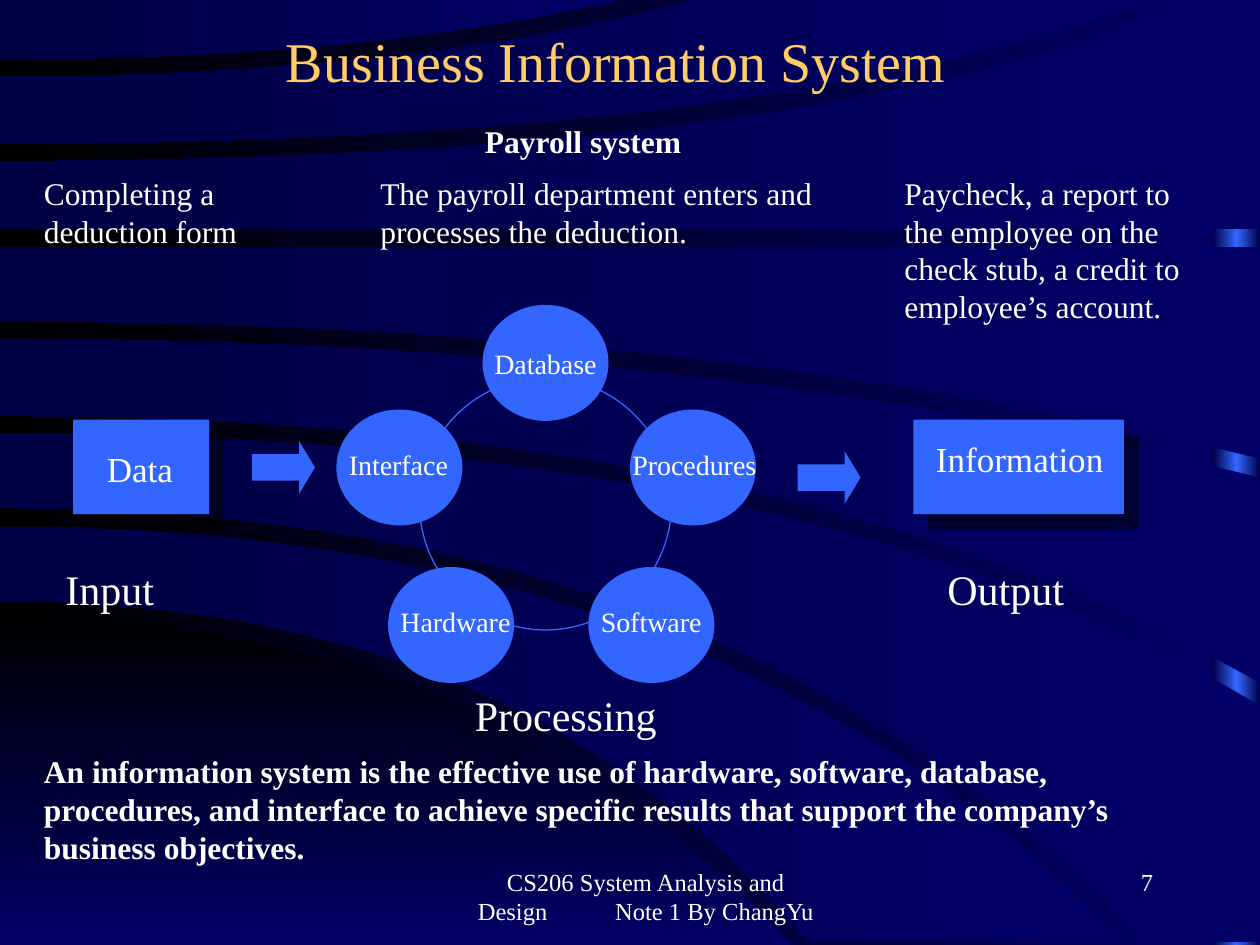
from copy import deepcopy
from dataclasses import dataclass

from pptx import Presentation
from pptx.dml.color import RGBColor
from pptx.dml.fill import FillFormat
from pptx.enum.shapes import MSO_SHAPE
from pptx.enum.text import MSO_ANCHOR, PP_ALIGN
from pptx.oxml import parse_xml
from pptx.oxml.ns import nsdecls, qn
from pptx.oxml.xmlchemy import BaseOxmlElement
from pptx.shapes.autoshape import Shape
from pptx.slide import Slide
from pptx.text.text import TextFrame
from pptx.util import Inches, Pt

COLORS = {
    "navy": "000066", "midnight": "000044", "black": "000000",
    "blue": "3366FF", "gold": "FFCC66", "white": "FFFFFF",
}
FONT = "Times New Roman"
SLIDE_WIDTH = 10
CURVE_STEPS = 20
Point = tuple[float, float]


@dataclass
class Edge:
    start_y: float
    control_x: float
    end_x: float
    end_y: float

    def points(self) -> list[Point]:
        """Sample a quadratic curve that leaves the left side horizontally."""
        ratios = [step / CURVE_STEPS for step in range(CURVE_STEPS + 1)]
        return [(2 * t * (1 - t) * self.control_x + t * t * self.end_x,
                 self.start_y + t * t * (self.end_y - self.start_y)) for t in ratios]


@dataclass
class Band:
    upper: Edge
    lower: Edge
    colors: tuple[str, ...] = ("navy", "midnight")
    angle: int = 180


@dataclass
class Label:
    text: str
    left: float
    top: float
    width: float
    height: float
    size: int = 18
    bold: bool = False
    color: str = "white"
    align: PP_ALIGN = PP_ALIGN.LEFT
    anchor: MSO_ANCHOR = MSO_ANCHOR.TOP
    inset: float = 0.1
    tab: float = 0


@dataclass
class Block:
    kind: MSO_SHAPE
    left: float
    top: float
    width: float = 1
    height: float = 0.92
    shadow: bool = False


BANDS = [
    Band(Edge(4.91, 4, 6.28, 7.5), Edge(7.5, 3, 6.28, 7.5), ("black", "navy"), 270),
    Band(Edge(4.18, 5.73, 8.93, 7.48), Edge(4.77, 4.19, 6.42, 7.48)),
    Band(Edge(3.44, 6.4, 10, 5.6), Edge(4.03, 5.87, 9.09, 7.48)),
    Band(Edge(2.69, 5.54, 10, 3.79), Edge(3.3, 6.3, 10, 5.42)),
    Band(Edge(1.96, 5, 10, 1.96), Edge(2.55, 5.6, 10, 3.64)),
    Band(Edge(1.28, 6.58, 9.43, 0), Edge(1.82, 5, 10, 1.82)),
    Band(Edge(0.61, 3.28, 5.5, 0), Edge(1.14, 6.15, 9.12, 0)),
    Band(Edge(0, 2.5, 4.92, 0), Edge(0.47, 2.9, 4.92, 0)),
]
DATABASE = Label("Database", 3.83, 2.42, 1, 0.92, 16, align=PP_ALIGN.CENTER, anchor=MSO_ANCHOR.MIDDLE)
NODES = [("Procedures", 5, 3.25, -0.08), ("Software", 4.67, 4.5, 0),
         ("Hardware", 3.08, 4.5, 0), ("Interface", 2.67, 3.25, 0)]
BLOCKS = [
    Block(MSO_SHAPE.RECTANGLE, 0.58, 3.33, 1.08, 0.75, shadow=True),
    Block(MSO_SHAPE.RIGHT_ARROW, 2, 3.5, 0.5, 0.42),
    Block(MSO_SHAPE.RIGHT_ARROW, 6.33, 3.58, 0.5, 0.42),
    Block(MSO_SHAPE.RECTANGLE, 7.25, 3.33, 1.67, 0.75, shadow=True),
]
LABELS = [
    Label("Business Information System", 0.64, -0.15, 8.5, 1.25, 32, color="gold",
          align=PP_ALIGN.CENTER, anchor=MSO_ANCHOR.MIDDLE),
    Label("Data", 0.75, 3.5, 0.83, 0.44, 20),
    Label("Information", 7.33, 3.42, 1.58, 0.44, 20),
    Label("Processing", 3.67, 5.42, 2.58, 0.5, 24),
    Label("Input", 0.42, 4.42, 1.75, 0.5, 24),
    Label("Output", 7.42, 4.42, 1.67, 0.5, 24),
    Label("An information system is the effective use of hardware, software, database, "
          "procedures, and interface to achieve specific results that support the "
          "company’s business objectives.", 0.25, 5.92, 9.25, 1, bold=True),
    Label("Completing a deduction form", 0.25, 1.33, 2, 0.7),
    Label("Paycheck, a report to the employee on the check stub, a credit to "
          "employee’s account.", 7.08, 1.33, 2.5, 1.3),
    Label("The payroll department enters and processes the deduction.", 2.92, 1.33, 3.83, 0.7),
    Label("Payroll system", 3.75, 0.92, 2.08, 0.4, bold=True),
    Label("CS206 System Analysis and Design\tNote 1 By ChangYu", 3.42, 6.83, 3.17, 0.5, 14,
          align=PP_ALIGN.CENTER, inset=0.34, tab=1.09),
    Label("7", 7.17, 6.83, 2.08, 0.5, 14, align=PP_ALIGN.RIGHT),
]


def rgb(name: str) -> RGBColor:
    """Return a palette colour."""
    return RGBColor.from_string(COLORS[name])


def paint_gradient(fill: FillFormat, element: BaseOxmlElement, names: tuple[str, ...], angle: int) -> None:
    """Fill with evenly spaced gradient stops."""
    fill.gradient()
    fill.gradient_angle = angle
    stop_list = next(element.iter(qn("a:gsLst")))
    while len(stop_list) < len(names):
        stop_list.append(deepcopy(stop_list[0]))
    for index, (stop, name) in enumerate(zip(fill.gradient_stops, names)):
        stop.color.rgb = rgb(name)
        stop.position = index / (len(names) - 1)


def write_text(frame: TextFrame, label: Label) -> None:
    """Write a label into a text frame."""
    frame.word_wrap = label is not DATABASE
    frame.vertical_anchor = label.anchor
    frame.margin_left = Inches(label.inset)
    paragraph = frame.paragraphs[0]
    paragraph.text = label.text
    paragraph.alignment = label.align
    if label.tab:
        paragraph._p.get_or_add_pPr().append(parse_xml(
            f'<a:tabLst {nsdecls("a")}><a:tab pos="{Inches(label.tab)}" algn="l"/></a:tabLst>'))
    font = paragraph.font
    font.name, font.size, font.bold = FONT, Pt(label.size), label.bold
    font.color.rgb = rgb(label.color)


def add_label(slide: Slide, label: Label) -> None:
    """Add a text box."""
    box = slide.shapes.add_textbox(*map(Inches, (label.left, label.top, label.width, label.height)))
    write_text(box.text_frame, label)


def add_block(slide: Slide, block: Block) -> Shape:
    """Add a plain blue preset shape."""
    shape = slide.shapes.add_shape(
        block.kind, *map(Inches, (block.left, block.top, block.width, block.height)))
    shape.shadow.inherit = False
    shape.fill.solid()
    shape.fill.fore_color.rgb = rgb("blue")
    shape.line.fill.background()
    if block.kind == MSO_SHAPE.RIGHT_ARROW:
        shape.adjustments[1] = 0.3
    if block.shadow:
        shape.element.spPr.find(qn("a:effectLst")).append(parse_xml(
            f'<a:outerShdw {nsdecls("a")} dist="{Pt(12.1)}" dir="2700000" algn="ctr" rotWithShape="0">'
            f'<a:srgbClr val="{COLORS["black"]}"><a:alpha val="50000"/></a:srgbClr></a:outerShdw>'))
    return shape


def add_band(slide: Slide, band: Band) -> None:
    """Add a curved band, squared off where one edge stops short of the right side."""
    short = [edge for edge in (band.upper, band.lower) if edge.end_x < SLIDE_WIDTH]
    corner = [(SLIDE_WIDTH, short[0].end_y)] if len(short) == 1 else []
    outline = band.upper.points() + corner + band.lower.points()[::-1]
    points = [(Inches(x), Inches(y)) for x, y in outline]
    builder = slide.shapes.build_freeform(*points[0])
    builder.add_line_segments(points[1:], close=True)
    shape = builder.convert_to_shape()
    shape.shadow.inherit = False
    shape.line.fill.background()
    paint_gradient(shape.fill, shape.element, band.colors, band.angle)


def main() -> None:
    """Build and save the slide."""
    presentation = Presentation()
    presentation.slide_width, presentation.slide_height = Inches(SLIDE_WIDTH), Inches(7.5)
    slide = presentation.slides.add_slide(presentation.slide_layouts[6])
    paint_gradient(slide.background.fill, slide.element, ("navy", "black"), 180)
    margin = add_block(slide, Block(MSO_SHAPE.RECTANGLE, 9.63, 0, 0.37, 7.5))
    paint_gradient(margin.fill, margin.element, ("midnight", "blue", "midnight"), 180)
    for band in BANDS:
        add_band(slide, band)
    for block in BLOCKS:
        add_block(slide, block)
    database = add_block(slide, Block(MSO_SHAPE.OVAL, DATABASE.left, DATABASE.top))
    write_text(database.text_frame, DATABASE)
    for _, left, top, _ in NODES:
        add_block(slide, Block(MSO_SHAPE.OVAL, left, top))
    ring = add_block(slide, Block(MSO_SHAPE.OVAL, 3.33, 3, 2, 2))
    ring.fill.background()
    ring.line.color.rgb = rgb("blue")
    ring.line.width = Pt(0.75)
    for text, left, top, shift in NODES:
        add_label(slide, Label(text, left + shift, top + 0.25, 1.2, 0.37, 16))
    for label in LABELS:
        add_label(slide, label)
    presentation.save("out.pptx")


if __name__ == "__main__":
    main()
